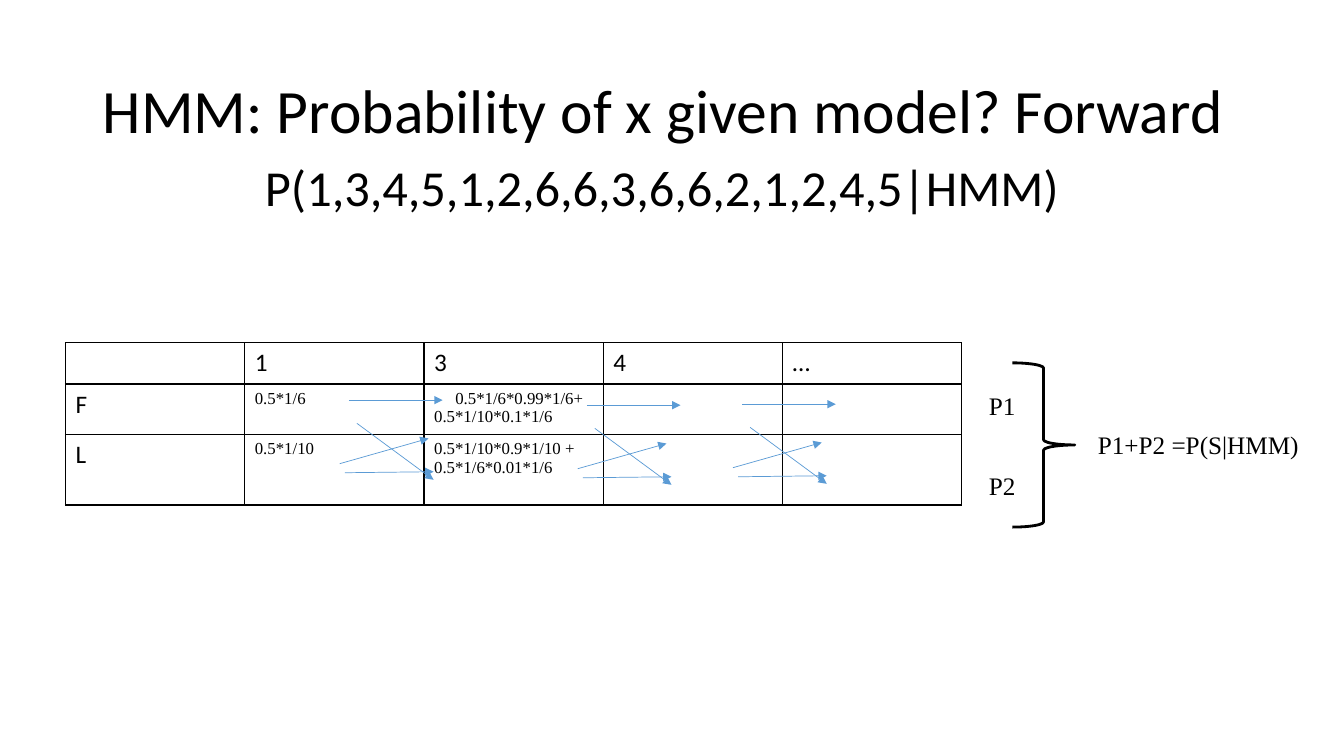
from pptx import Presentation
from pptx.dml.color import RGBColor
from pptx.enum import shapes, text
from pptx.oxml.ns import qn
from pptx.util import Inches, Pt
from lxml import etree

COLORS = {"ink": "000000", "arrow": "5B9BD5"}
SANS, SERIF = "Calibri", "Times New Roman"
HEADER = ["", "1", "3", "4", "…"]
STATES = [
    ["F", "0.5*1/6", "0.5*1/6*0.99*1/6+\n0.5*1/10*0.1*1/6", "", ""],
    ["L", "0.5*1/10", "0.5*1/10*0.9*1/10 +\n0.5*1/6*0.01*1/6", "", ""],
]
ROW_HEIGHTS = [0.41, 0.5, 0.7]
# Transitions between two columns, relative to the left end of the L-to-F arrow
TRANSITIONS = [
    ((0, 0), (0.88, -0.25)),
    ((0.05, 0.09), (0.93, 0.08)),
    ((0.17, -0.4), (0.93, 0.16)),
    ((0.09, -0.63), (1.02, -0.63)),
]
TRANSITION_ORIGINS = [(3.37, 4.6), (5.73, 4.65), (7.27, 4.64)]


def rgb(name):
    return RGBColor.from_string(COLORS[name])


def write(tf, content, size, font):
    tf.text = content
    for p in tf.paragraphs:
        p.font.color.rgb = rgb("ink")
        for key, value in {"size": Pt(size), "name": font}.items():
            setattr(p.font, key, value)


def add_title(s, x, y, w, h):
    title = s.shapes.title
    for key, value in {"left": x, "top": y, "width": w, "height": h}.items():
        setattr(title, key, Inches(value))
    write(title.text_frame, "HMM: Probability of x given model? Forward", 44, SANS)
    title.text_frame.vertical_anchor = text.MSO_ANCHOR.MIDDLE
    p = title.text_frame.paragraphs[0]
    p.alignment = text.PP_ALIGN.LEFT
    p.line_spacing = 0.9


def add_label(s, content, x, y, w, h, size=18, font=SERIF):
    tf = s.shapes.add_textbox(*map(Inches, (x, y, w, h))).text_frame
    tf.word_wrap = False
    write(tf, content, size, font)


def add_borders(cell):
    tcPr = cell._tc.get_or_add_tcPr()
    for i, side in enumerate(("lnL", "lnR", "lnT", "lnB")):
        ln = etree.Element(qn("a:" + side), w=str(Pt(1)))
        fill = etree.SubElement(ln, qn("a:solidFill"))
        etree.SubElement(fill, qn("a:srgbClr"), val=COLORS["ink"])
        tcPr.insert(i, ln)


def add_forward_table(s, x, y, w):
    rows = [HEADER] + STATES
    frame = s.shapes.add_table(len(rows), len(HEADER), Inches(x), Inches(y),
                               Inches(w), Inches(sum(ROW_HEIGHTS)))
    table = frame.table
    table.first_row = table.horz_banding = False
    for r, values in enumerate(rows):
        table.rows[r].height = Inches(ROW_HEIGHTS[r])
        for c, value in enumerate(values):
            cell = table.cell(r, c)
            formula = r > 0 and c > 0 and value
            write(cell.text_frame, value, *((12, SERIF) if formula else (18, SANS)))
            cell.fill.background()
            add_borders(cell)
    first_sum = table.cell(1, 2).text_frame.paragraphs[0]
    first_sum._p.get_or_add_pPr().set("indent", str(Inches(0.21)))


def add_transitions(s, x, y):
    for (x1, y1), (x2, y2) in TRANSITIONS:
        ends = map(Inches, (x + x1, y + y1, x + x2, y + y2))
        arrow = s.shapes.add_connector(shapes.MSO_CONNECTOR.STRAIGHT, *ends)
        arrow.line.color.rgb = rgb("arrow")
        arrow.line.width = Pt(0.5)
        etree.SubElement(arrow.line._get_or_add_ln(), qn("a:tailEnd"), type="triangle")
        etree.SubElement(arrow._element.spPr, qn("a:effectLst"))


def add_total(s, x, y):
    """Bracket the two final probabilities and show their sum."""
    for i, name in enumerate(("P1", "P2")):
        add_label(s, name, x, y + 0.22 + 0.8 * i, 0.49, 0.4)
    brace = s.shapes.add_shape(shapes.MSO_SHAPE.RIGHT_BRACE, Inches(x + 0.33),
                               Inches(y), Inches(0.62), Inches(1.63))
    brace.shadow.inherit = False
    brace.fill.background()
    brace.line.color.rgb = rgb("ink")
    brace.line.width = Pt(2)
    add_label(s, "P1+P2 =P(S|HMM)", x + 1.08, y + 0.61, 2.35, 0.4)


def main():
    prs = Presentation()
    prs.slide_width, prs.slide_height = Inches(13.33), Inches(7.5)
    s = prs.slides.add_slide(prs.slide_layouts[5])
    add_title(s, 0.92, 0.4, 11.5, 1.45)
    add_label(s, "P(1,3,4,5,1,2,6,6,3,6,6,2,1,2,4,5|HMM)", 2.53, 1.5, 8.17, 0.71, 36, SANS)
    add_forward_table(s, 0.65, 3.4, 8.89)
    for x, y in TRANSITION_ORIGINS:
        add_transitions(s, x, y)
    add_total(s, 9.71, 3.6)
    prs.save("out.pptx")


if __name__ == "__main__":
    main()
